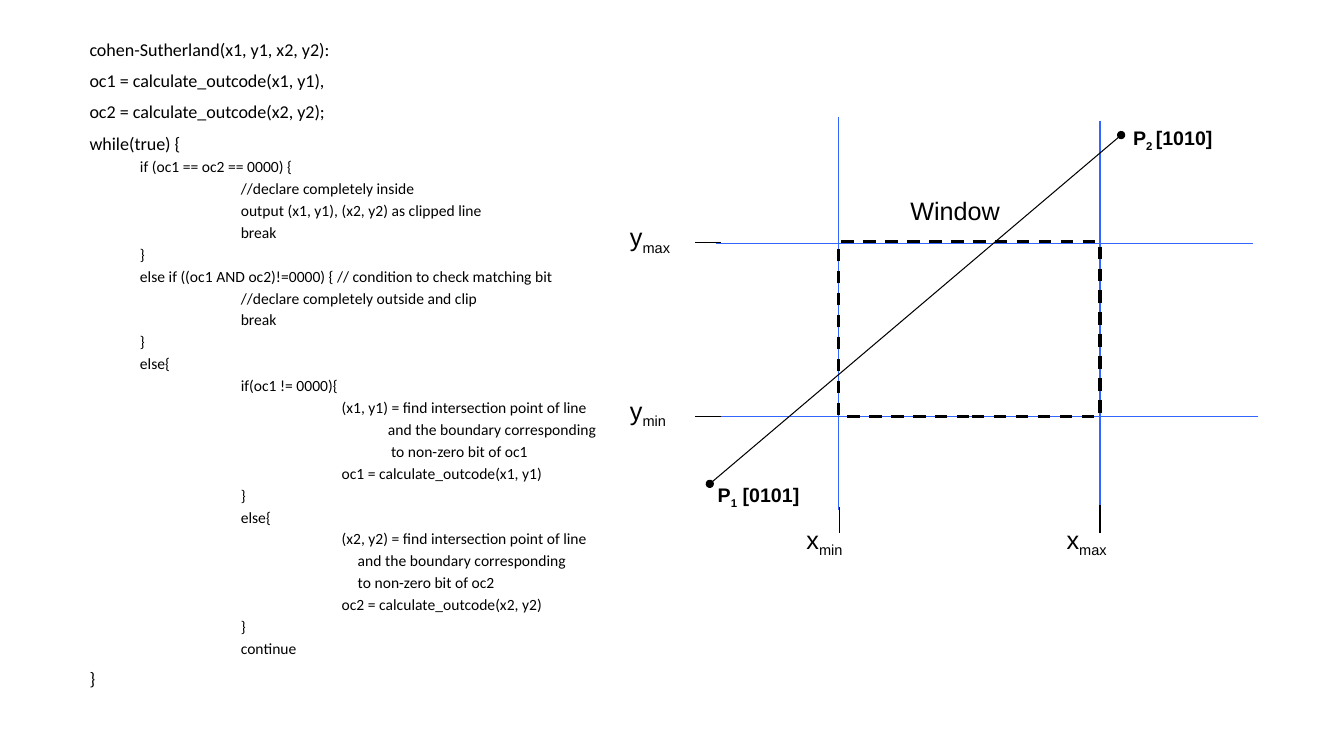
import pptx
import pptx.util
from pptx.dml.color import RGBColor
from pptx.enum.dml import MSO_LINE
from pptx.enum.shapes import MSO_CONNECTOR, MSO_SHAPE
from pptx.oxml.ns import qn
from lxml import etree

Inches, Pt = pptx.util.Inches, pptx.util.Pt
BLACK = RGBColor(0x00, 0x00, 0x00)
BLUE = RGBColor(0x33, 0x66, 0xFF)

# (indent in inches, text); unindented lines are larger
CODE = [
    (0, "cohen-Sutherland(x1, y1, x2, y2):"),
    (0, "oc1 = calculate_outcode(x1, y1),"),
    (0, "oc2 = calculate_outcode(x2, y2);"),
    (0, "while(true) {"),
    (0.5, "if (oc1 == oc2 == 0000) {"),
    (1.5, "//declare completely inside"),
    (1.5, "output (x1, y1), (x2, y2) as clipped line"),
    (1.5, "break"),
    (0.5, "}"),
    (0.5, "else if ((oc1 AND oc2)!=0000) { // condition to check matching bit"),
    (1.5, "//declare completely outside and clip"),
    (1.5, "break"),
    (0.5, "}"),
    (0.5, "else{"),
    (1.5, "if(oc1 != 0000){"),
    (2.5, "(x1, y1) = find intersection point of line"),
    (2.96, "and the boundary corresponding"),
    (2.99, "to non-zero bit of oc1"),
    (2.5, "oc1 = calculate_outcode(x1, y1)"),
    (1.5, "}"),
    (1.5, "else{"),
    (2.5, "(x2, y2) = find intersection point of line"),
    (2.66, "and the boundary corresponding"),
    (2.66, "to non-zero bit of oc2"),
    (2.5, "oc2 = calculate_outcode(x2, y2)"),
    (1.5, "}"),
    (1.5, "continue"),
    (0, "}"),
]
WINDOW = (8.32, 2.4, 2.59, 1.73)
BOUNDARIES = [
    (8.32, 1.16, 8.32, 5.06),
    (10.91, 1.2, 10.91, 5.1),
    (12.43, 2.42, 7.1, 2.42),
    (12.48, 4.13, 7.15, 4.13),
]
TICKS = [
    (7.15, 2.41, 6.89, 2.41),
    (7.15, 4.13, 6.89, 4.13),
    (8.33, 5.03, 8.33, 5.29),
    (10.91, 5.01, 10.91, 5.29),
]
CLIPPED_LINE = (7.04, 4.8, 11.12, 1.34)
AXIS_FONT = {"size": Pt(18), "name": "Arial"}
POINT_FONT = {"size": Pt(14), "name": "Arial", "bold": True}
# (box, base, subscript, rest, font)
LABELS = [
    ((6.15, 2.15, 0.73, 0.45), "y", "max", "", AXIS_FONT),
    ((6.15, 3.87, 0.67, 0.45), "y", "min", "", AXIS_FONT),
    ((7.9, 5.15, 0.67, 0.45), "x", "min", "", AXIS_FONT),
    ((10.48, 5.15, 0.73, 0.45), "x", "max", "", AXIS_FONT),
    ((8.93, 1.89, 1.23, 0.45), "Window", "", "", AXIS_FONT),
    ((11.14, 1.2, 1.01, 0.34), "P", "2 ", "[1010]", POINT_FONT),
    ((7.02, 4.74, 1.03, 0.34), "P", "1", " [0101]", POINT_FONT),
]


def add_run(p, text, font):
    r = p.add_run()
    r.text = text
    for name, value in font.items():
        setattr(r.font, name, value)
    r.font.color.rgb = BLACK
    return r


def add_code(s):
    tf = s.shapes.add_textbox(*map(Inches, (0.79, 0.37, 5.54, 6.49))).text_frame
    tf.word_wrap = True
    for i, (indent, text) in enumerate(CODE):
        p = tf.add_paragraph() if i else tf.paragraphs[0]
        p.line_spacing = 0.8
        p.space_before = Pt(0 if i == 0 else 5 if indent else 10)
        p._p.get_or_add_pPr().set("marL", str(Inches(indent)))
        add_run(p, text, {"size": Pt(11.1 if indent else 12.9), "name": "Calibri"})


def add_line(s, ends, color, dots=False):
    """Draw a thin straight line, with a dot at each end if asked."""
    c = s.shapes.add_connector(MSO_CONNECTOR.STRAIGHT, *map(Inches, ends))
    c.line.color.rgb = color
    c.line.width = Pt(0.75)
    if dots:
        for tag in ("a:headEnd", "a:tailEnd"):
            etree.SubElement(c.line._get_or_add_ln(), qn(tag), type="oval")
    etree.SubElement(c._element.spPr, qn("a:effectLst"))


def add_window(s):
    sp = s.shapes.add_shape(MSO_SHAPE.RECTANGLE, *map(Inches, WINDOW))
    sp.shadow.inherit = False
    sp.fill.background()
    sp.line.color.rgb = BLACK
    sp.line.width = Pt(2.25)
    sp.line.dash_style = MSO_LINE.DASH


def add_label(s, box, base, subscript, rest, font):
    tf = s.shapes.add_textbox(*map(Inches, box)).text_frame
    tf.word_wrap = False
    p = tf.paragraphs[0]
    for text, baseline in ((base, 0), (subscript, -25000), (rest, 0)):
        if text:
            r = add_run(p, text, font)
            if baseline:
                r.font._element.set("baseline", str(baseline))


def main():
    prs = pptx.Presentation()
    prs.slide_width, prs.slide_height = Inches(13.33), Inches(7.5)
    s = prs.slides.add_slide(prs.slide_layouts[6])
    add_code(s)
    for ends in BOUNDARIES:
        add_line(s, ends, BLUE)
    add_window(s)
    for ends in TICKS:
        add_line(s, ends, BLACK)
    add_line(s, CLIPPED_LINE, BLACK, dots=True)
    for label in LABELS:
        add_label(s, *label)
    prs.save("out.pptx")


if __name__ == "__main__":
    main()
